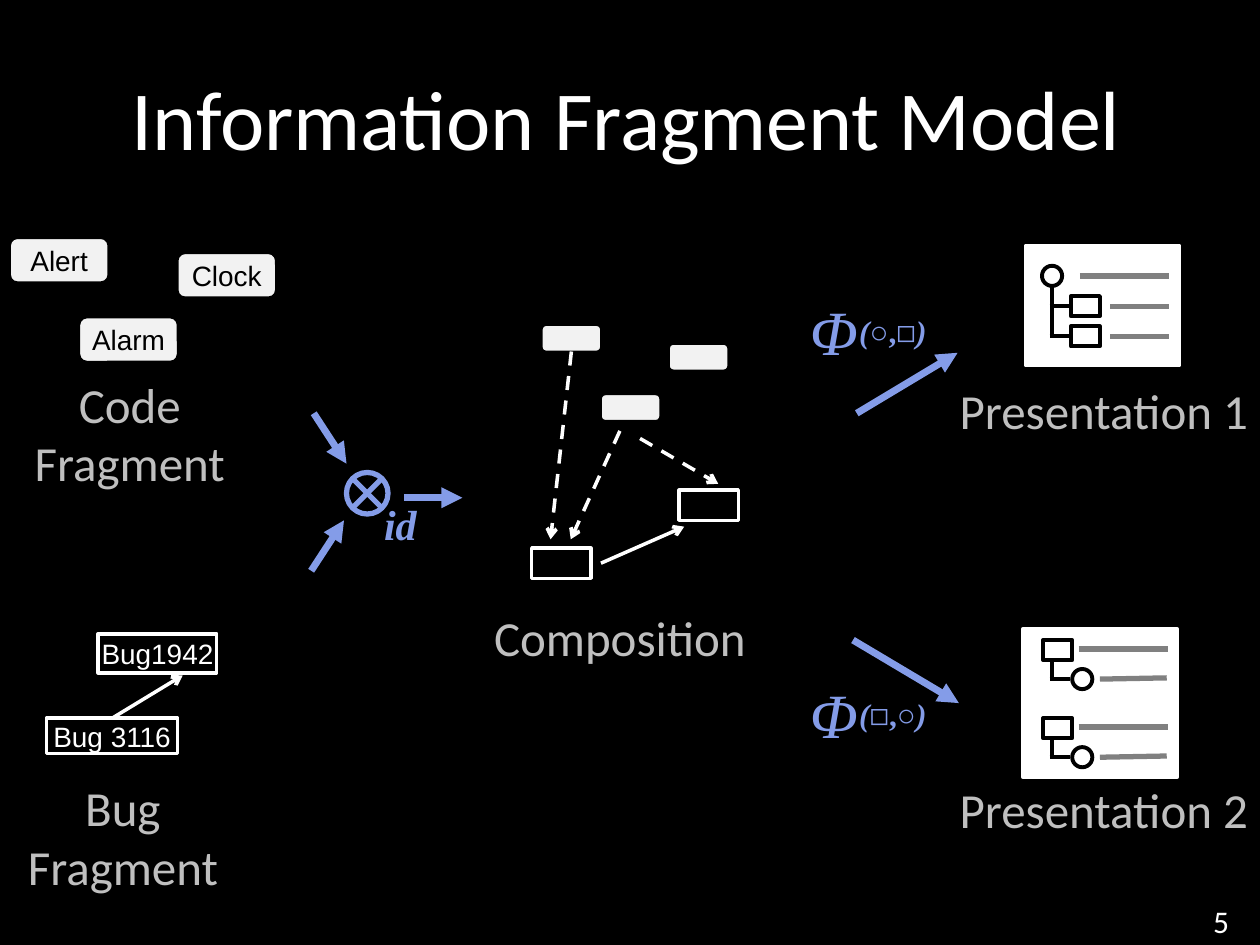
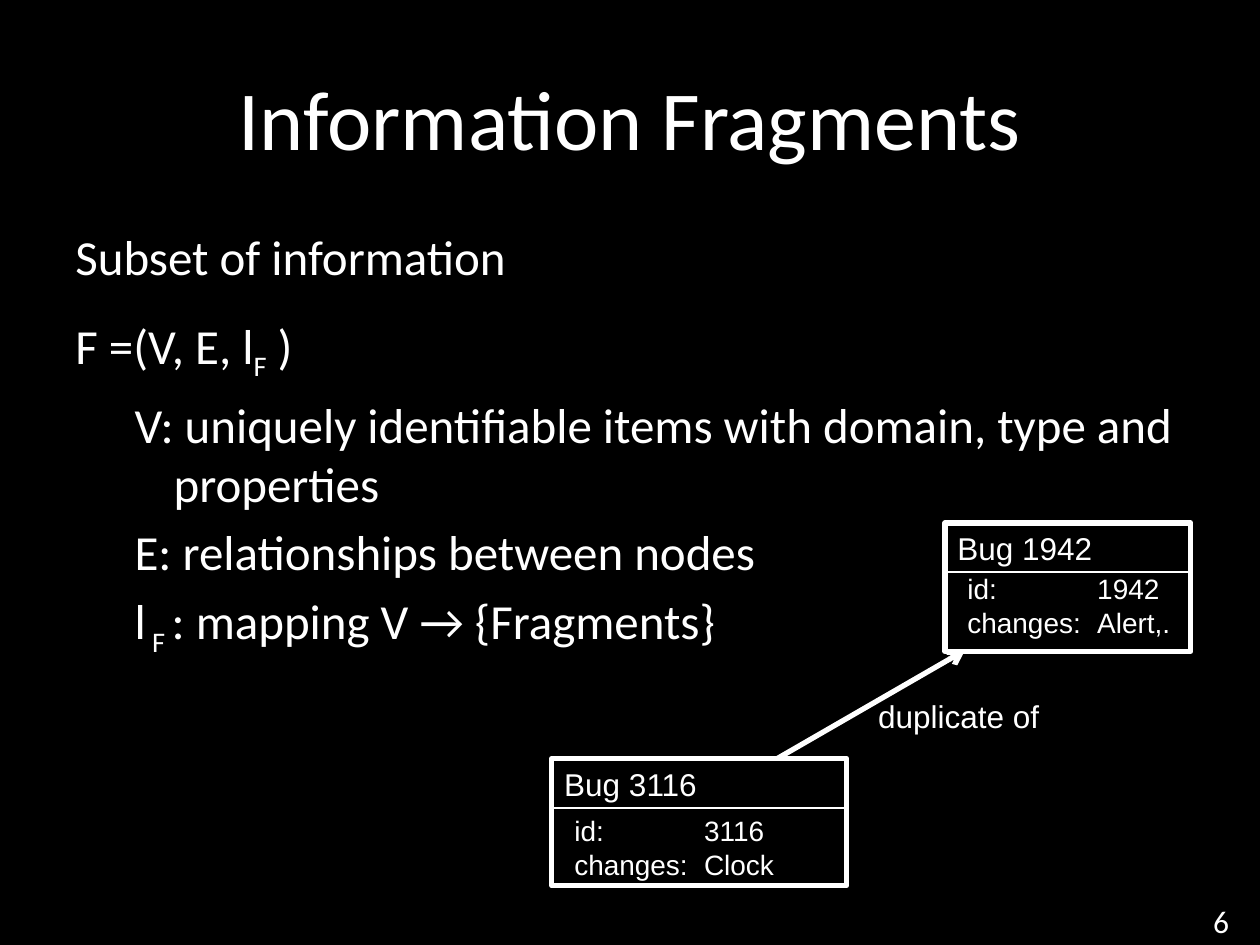
from lxml import etree
from pptx import Presentation
from pptx.dml.color import RGBColor
from pptx.enum import dml, shapes, text
from pptx.oxml import ns
from pptx.util import Inches, Pt


class Theme:
    black, white, pale = "000000", "FFFFFF", "F2F2F2"
    grey, silver, blue = "808080", "BFBFBF", "849CE8"
    # Text: font name, size, colour
    title = ("Calibri", 48, white)
    body = ("Calibri", 28, white)
    caption = ("Calibri", 28, silver)
    number = ("Calibri", 18, white)
    node = ("Arial", 16, white)
    pill = ("Arial", 16, black)
    heading = ("Arial", 18, white)
    phi = ("Times New Roman", 36, blue)
    ident = ("Times New Roman", 24, blue)
    order = ("Times New Roman", 18, blue)
    # Lines: colour, width
    flow = (blue, 4)
    operator = (blue, 3)
    edge = (white, 2)
    card_edge = (white, 3)
    divider = (white, 1)
    pill_edge = (black, 1)
    panel_edge = (white, 2.25)
    tree = (black, 2.25)
    text_bar = (grey, 3)


SHAPE = shapes.MSO_SHAPE
CENTER, LEFT = text.PP_ALIGN.CENTER, text.PP_ALIGN.LEFT
MIDDLE, TOP = text.MSO_ANCHOR.MIDDLE, text.MSO_ANCHOR.TOP
SUB = {"baseline": "-25000"}
SLANTED = {"bold": True, "italic": True}

# ---- Slide 5: content (left, top, width, height in inches)
MODEL_TITLE = ("Information Fragment Model", 0.47, 5)
CAPTIONS = [  # text, box, wraps
    ("Code Fragment", (0.08, 2.92, 1.9, 1.04), True),
    ("Bug Fragment", (0, 6.12, 1.95, 1.04), True),
    ("Composition", (3.75, 4.77, 2.34, 0.57), True),
    ("Presentation 1", (7.5, 2.97, 2.52, 0.57), False),
    ("Presentation 2", (7.5, 6.14, 2.52, 0.57), False),
]
CODE_PILLS = [("Alert", 0.08, 1.89), ("Alarm", 0.63, 2.52), ("Clock", 1.41, 2.01)]
SMALL_PILLS = [(4.3, 2.58), (4.77, 3.13), (5.31, 2.73)]
BUG_NODES = [("Bug 3116", (0.37, 5.7, 1.04, 0.28)), ("Bug1942", (0.78, 5.03, 0.94, 0.31))]
SMALL_NODES = [(4.22, 4.35), (5.39, 3.89)]
FLOW_ARROWS = [
    ((2.47, 4.53), (2.73, 4.13)),
    ((3.21, 3.95), (3.67, 3.95)),
    ((2.49, 3.28), (2.75, 3.68)),
    ((6.8, 3.28), (7.6, 2.8)),
    ((6.77, 5.08), (7.61, 5.58)),
]
CODE_TO_BUG = [  # the first starts at the first small pill
    ((4.53, 2.79), (4.37, 4.28)),
    ((4.92, 3.42), (4.53, 4.28)),
    ((5.08, 3.48), (5.7, 3.84)),
]
PROJECTIONS = [("○,◻", 2.27), ("◻,○", 5.31)]

# ---- Slide 6: content
FRAGMENT_TITLE = ("Information Fragments", 0.5, 6)
DEFINITION = [
    [("Subset of information", {})],
    [("F =(V, E, l", {}), ("F", SUB), (" )", {})],
]
TERMS = [  # top, height, spans
    (3.08, 1.06, [("V: uniquely identifiable items with domain, type and properties", {})]),
    (4.09, 0.59, [("E: relationships between nodes", {})]),
    (4.64, 0.59, [("l", {}), (" F ", SUB), (": mapping V → {Fragments}", {})]),
]
BUG_CARDS = [  # heading, rows, box, offset of the rows
    ("Bug 1942", [("id:", "1942"), ("changes:", "Alert,.")], (7.5, 4.15, 1.95, 1.02), 0.34),
    ("Bug 3116", [("id:", "3116"), ("changes:", "Clock")], (4.38, 6.02, 2.34, 1.01), 0.39),
]


def inches(values):
    return [Inches(round(value, 2)) for value in values]


def write(para, spans, style, align=LEFT):
    """Fill a paragraph with (text, format) spans in one text style."""
    name, size, color = style
    para.alignment = align
    for words, formats in spans:
        span = para.add_run()
        span.text = words
        span.font.color.rgb = RGBColor.from_string(color)
        for key, value in {"name": name, "size": Pt(size), **formats}.items():
            if key == "baseline":
                span.font._element.set(key, value) if hasattr(span.font, "_element") else \
                    span._r.get_or_add_rPr().set(key, value)
            else:
                setattr(span.font, key, value)


def add_text(page, box, paragraphs, style, align=LEFT, wrap=True):
    frame = page.shapes.add_textbox(*inches(box)).text_frame
    frame.word_wrap = wrap
    for index, spans in enumerate(paragraphs):
        para = frame.add_paragraph() if index else frame.paragraphs[0]
        write(para, spans, style, align)
    return frame


def add_box(page, kind, box, line, fill=None):
    shape = page.shapes.add_shape(kind, *inches(box))
    shape.shadow.inherit = False
    if fill:
        shape.fill.solid()
        shape.fill.fore_color.rgb = RGBColor.from_string(fill)
    else:
        shape.fill.background()
    shape.line.color.rgb = RGBColor.from_string(line[0])
    shape.line.width = Pt(line[1])
    return shape


def label(shape, words, style, align=CENTER, anchor=MIDDLE, insets=(0, 0)):
    frame = shape.text_frame
    side, top = inches(insets)
    settings = {"margin_left": side, "margin_right": side, "margin_top": top,
                "margin_bottom": top, "vertical_anchor": anchor, "word_wrap": True}
    for key, value in settings.items():
        setattr(frame, key, value)
    write(frame.paragraphs[0], [(words, {})], style, align)


def add_line(page, start, end, style, head=None, dashed=False):
    line = page.shapes.add_connector(shapes.MSO_CONNECTOR.STRAIGHT, *inches(start + end))
    line.line.color.rgb = RGBColor.from_string(style[0])
    line.line.width = Pt(style[1])
    if dashed:
        line.line.dash_style = dml.MSO_LINE.DASH
    if head:
        etree.SubElement(line.line._get_or_add_ln(), ns.qn("a:tailEnd"), type=head)
    etree.SubElement(line._element.spPr, ns.qn("a:effectLst"))
    return line


def add_page(deck, words, left, number):
    page = deck.slides.add_slide(deck.slide_layouts[5])
    title = page.shapes.title
    title.left, title.top, title.width, title.height = inches((left, 0.3, 9, 1.25))
    title.text_frame.vertical_anchor = MIDDLE
    write(title.text_frame.paragraphs[0], [(words, {})], Theme.title, CENTER)
    add_text(page, (9.53, 7.11, 0.63, 0.4), [[(str(number), {})]], Theme.number)
    return page


def add_pill(page, left, top, width, height):
    return add_box(page, SHAPE.ROUNDED_RECTANGLE, (left, top, width, height),
                   Theme.pill_edge, Theme.pale)


def draw_fragments(page):
    for words, left, top in CODE_PILLS:
        label(add_pill(page, left, top, 0.78, 0.35), words, Theme.pill)
    nodes = []
    for words, box in BUG_NODES:
        nodes.append(add_box(page, SHAPE.RECTANGLE, box, Theme.edge))
        label(nodes[-1], words, Theme.node)
    add_line(page, (0.89, 5.7), (1.45, 5.36), Theme.edge, "arrow").begin_connect(nodes[0], 0)


def draw_composition(page):
    pills = [add_pill(page, left, top, 0.47, 0.21) for left, top in SMALL_PILLS]
    for left, top in SMALL_NODES:
        add_box(page, SHAPE.RECTANGLE, (left, top, 0.47, 0.24), Theme.edge)
    links = [add_line(page, start, end, Theme.edge, "arrow", dashed=True)
             for start, end in CODE_TO_BUG]
    links[0].begin_connect(pills[0], 2)
    add_line(page, (4.77, 4.47), (5.43, 4.18), Theme.edge, "arrow")


def draw_operators(page):
    add_box(page, SHAPE.FLOWCHART_SUMMING_JUNCTION, (2.75, 3.75, 0.33, 0.33), Theme.operator)
    add_text(page, (2.95, 3.91, 0.46, 0.5), [[("id", SLANTED)]], Theme.ident, wrap=False)
    for start, end in FLOW_ARROWS:
        add_line(page, start, end, Theme.flow, "triangle")
    for order, top in PROJECTIONS:
        add_text(page, (6.33, top, 0.49, 0.71), [[("Φ", {"italic": True})]], Theme.phi)
        spans = [("(", SLANTED), (order, {"bold": True}), (")", SLANTED)]
        add_text(page, (6.72, top + 0.16, 1.02, 0.4), [spans], Theme.order)


def add_panel(page, left, top, height):
    add_box(page, SHAPE.RECTANGLE, (left, top, 1.22, height), Theme.panel_edge, Theme.white)


def add_tree_circle(page, left, top):
    add_box(page, SHAPE.OVAL, (left, top, 0.16, 0.16), Theme.tree)


def add_tree_node(page, left, top):
    return add_box(page, SHAPE.RECTANGLE, (left, top, 0.23, 0.16), Theme.tree)


def draw_code_first_tree(page):
    add_panel(page, 8.14, 1.95, 0.95)
    add_tree_circle(page, 8.27, 2.11)
    add_line(page, (8.57, 2.19), (9.28, 2.19), Theme.text_bar)
    add_line(page, (8.35, 2.28), (8.35, 2.67), Theme.tree)
    for top in (2.35, 2.59):
        middle = top + 0.08
        node = add_tree_node(page, 8.5, top)
        add_line(page, (8.33, middle), (8.5, middle), Theme.tree).end_connect(node, 1)
        add_line(page, (8.81, middle), (9.28, middle), Theme.text_bar)


def draw_bug_first_trees(page):
    add_panel(page, 8.12, 4.99, 1.18)
    for top in (5.08, 5.7):
        add_tree_node(page, 8.28, top)
        add_tree_circle(page, 8.51, top + 0.23)
        add_line(page, (8.35, top + 0.15), (8.35, top + 0.31), Theme.tree)
        add_line(page, (8.33, top + 0.31), (8.49, top + 0.31), Theme.tree)
        add_line(page, (8.56, top + 0.07), (9.27, top + 0.07), Theme.text_bar)
        add_line(page, (8.73, top + 0.31), (9.26, top + 0.3), Theme.text_bar)


def hang(para, left, hanging):
    settings = para._p.get_or_add_pPr()
    settings.set("marL", str(Inches(left)))
    settings.set("indent", str(-Inches(hanging)))


def draw_definition(page):
    frame = add_text(page, (0.5, 1.75, 9, 1.45), DEFINITION, Theme.body)
    frame.paragraphs[1].space_before = Pt(17)
    for para in frame.paragraphs:
        hang(para, 0.38, 0.38)
    for top, height, spans in TERMS:
        term = add_text(page, (0.47, top, 9, height), [spans], Theme.body)
        hang(term.paragraphs[0], 0.81, 0.31)


def draw_bug_card(page, heading, rows, box, rows_offset):
    left, top, width, height = box
    card = add_box(page, SHAPE.RECTANGLE, box, Theme.card_edge)
    label(card, heading, Theme.heading, LEFT, TOP, (0.1, 0.05))
    add_line(page, (left, top + 0.39), (left + width, top + 0.39), Theme.divider)
    lines = [[("\t".join(row), {})] for row in rows]
    details = add_text(page, (left + 0.08, top + rows_offset, 1.88, 0.64), lines, Theme.node)
    for para in details.paragraphs:
        tabs = etree.SubElement(para._p.get_or_add_pPr(), ns.qn("a:tabLst"))
        etree.SubElement(tabs, ns.qn("a:tab"), pos=str(Inches(1.03)), algn="l")


def main():
    deck = Presentation()
    deck.slide_width, deck.slide_height = inches((10, 7.5))
    backdrop = deck.slide_master.background.fill
    backdrop.solid()
    backdrop.fore_color.rgb = RGBColor.from_string(Theme.black)

    model = add_page(deck, *MODEL_TITLE)
    draw_fragments(model)
    draw_operators(model)
    draw_composition(model)
    draw_code_first_tree(model)
    draw_bug_first_trees(model)
    for words, box, wrap in CAPTIONS:
        add_text(model, box, [[(words, {})]], Theme.caption, CENTER, wrap)

    fragments = add_page(deck, *FRAGMENT_TITLE)
    draw_definition(fragments)
    for card in BUG_CARDS:
        draw_bug_card(fragments, *card)
    add_line(fragments, (6.17, 6.02), (7.66, 5.16), Theme.card_edge, "arrow")
    add_text(fragments, (6.87, 5.48, 1.49, 0.4), [[("duplicate of", {})]],
             Theme.heading, wrap=False)
    deck.save("out.pptx")


if __name__ == "__main__":
    main()
